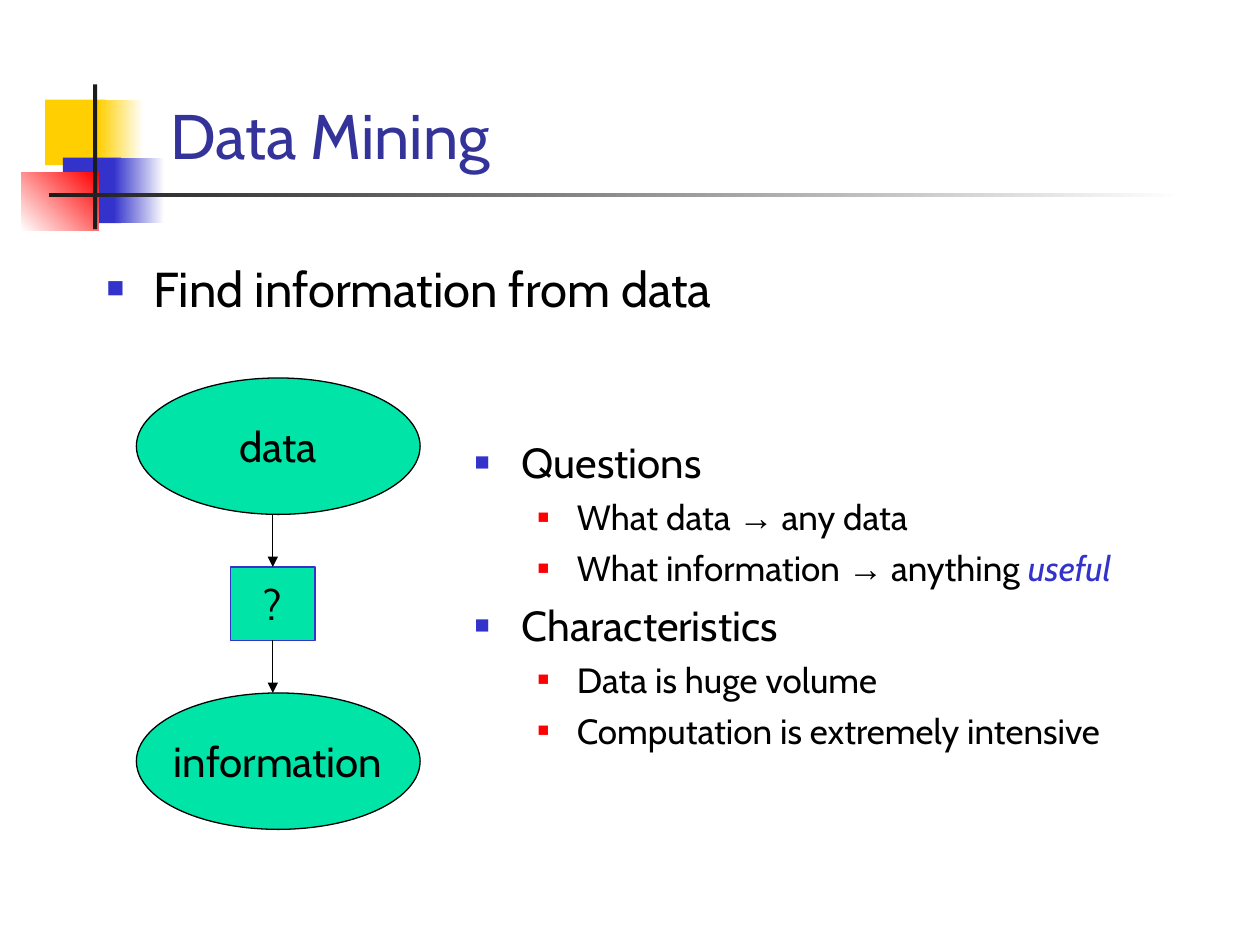
from lxml import etree
from pptx import Presentation
from pptx import util as u
from pptx.dml.color import RGBColor
from pptx.enum import shapes, text
from pptx.oxml.ns import qn

YELLOW = RGBColor(0xFF, 0xCF, 0x01)
BLUE = RGBColor(0x33, 0x33, 0xCC)
RED = RGBColor(0xFF, 0x00, 0x00)
WHITE = RGBColor(0xFF, 0xFF, 0xFF)
CHARCOAL = RGBColor(0x1C, 0x1C, 0x1C)
NAVY = RGBColor(0x33, 0x33, 0x99)
GREEN = RGBColor(0x00, 0xE4, 0xA8)
BLACK = RGBColor(0x00, 0x00, 0x00)

RECT = shapes.MSO_SHAPE.RECTANGLE
OVAL = shapes.MSO_SHAPE.OVAL
MIDDLE = text.MSO_ANCHOR.MIDDLE
BOTTOM = text.MSO_ANCHOR.BOTTOM

LEVELS = [
    {"size": 24, "before": 6, "left": 0.95, "hang": 0.95, "bullet": BLUE, "percent": 60},
    {"size": 20, "before": 5, "left": 2.06, "hang": 0.79, "bullet": RED, "percent": 55},
]

DECORATION = [
    ((0.91, 2.01, 1.22, 1.32), (YELLOW,), 0),
    ((1.98, 2.01, 0.91, 1.32), (YELLOW, WHITE), 0),
    ((1.27, 3.18, 1.17, 1.32), (BLUE,), 0),
    ((2.29, 3.18, 1.02, 1.32), (BLUE, WHITE), 0),
    ((0.43, 3.48, 1.55, 1.17), (WHITE, RED), 45),
    ((1.88, 1.7, 0.08, 2.92), (CHARCOAL,), 0),
    ((0.99, 3.89, 22.86, 0.08), (CHARCOAL, WHITE), 0),
]

QUESTIONS = [
    (0, ["Questions"]),
    (1, ["What data ", "→", " any data"]),
    (1, ["What information ", "→", " anything ", "useful"]),
    (0, ["Characteristics"]),
    (1, ["Data is huge volume"]),
    (1, ["Computation is extremely intensive"]),
]


def apply(target, values):
    for name, value in values.items():
        setattr(target, name, value)


def add_run(p, words, size, color=BLACK, **extra):
    r = p.add_run()
    r.text = words
    apply(r.font, {"name": "Cabin", "size": u.Pt(size), **extra})
    r.font.color.rgb = color


def add_shape(s, kind, box, colors, angle=0, line=None):
    sp = s.shapes.add_shape(kind, *map(u.Cm, box))
    sp.shadow.inherit = False
    if len(colors) == 1:
        sp.fill.solid()
        sp.fill.fore_color.rgb = colors[0]
    else:
        sp.fill.gradient()
        sp.fill.gradient_angle = angle
        for stop, color in zip(sp.fill.gradient_stops, colors):
            stop.color.rgb = color
    if line is None:
        sp.line.fill.background()
    else:
        sp.line.color.rgb = line
        sp.line.width = u.Pt(0.75)
    return sp


def add_node(s, kind, box, words, line):
    sp = add_shape(s, kind, box, (GREEN,), line=line)
    tf = sp.text_frame
    apply(tf, {"word_wrap": False, "vertical_anchor": MIDDLE})
    p = tf.paragraphs[0]
    p.alignment = text.PP_ALIGN.CENTER
    add_run(p, words, 24)
    return sp


def add_arrow(s, x, top, bottom):
    line = s.shapes.add_connector(
        shapes.MSO_CONNECTOR.STRAIGHT, *map(u.Cm, (x, top, x, bottom)))
    line.line.color.rgb = BLACK
    line.line.width = u.Pt(0.75)
    etree.SubElement(line.line._get_or_add_ln(), qn("a:tailEnd"), type="triangle")
    etree.SubElement(line._element.spPr, qn("a:effectLst"))
    return line


def add_textbox(s, box, **values):
    tf = s.shapes.add_textbox(*map(u.Cm, box)).text_frame
    apply(tf, {"word_wrap": True, **values})
    return tf


def set_bullet(p, level):
    pPr = p._p.get_or_add_pPr()
    pPr.set("marL", str(u.Cm(level["left"])))
    pPr.set("indent", str(-u.Cm(level["hang"])))
    color = etree.SubElement(pPr, qn("a:buClr"))
    etree.SubElement(color, qn("a:srgbClr"), val=str(level["bullet"]))
    etree.SubElement(pPr, qn("a:buSzPct"), val=str(level["percent"] * 1000))
    etree.SubElement(pPr, qn("a:buFont"), typeface="Arial")
    etree.SubElement(pPr, qn("a:buChar"), char="■")


def add_bullets(s, box, items, sizes=(24, 20)):
    tf = add_textbox(s, box)
    for i, (depth, pieces) in enumerate(items):
        level = LEVELS[depth]
        p = tf.add_paragraph() if i else tf.paragraphs[0]
        set_bullet(p, level)
        p.level = depth
        if i:
            p.space_before = u.Pt(level["before"])
        for words in pieces:
            style = {"→": {"name": "Arial"},
                     "useful": {"color": BLUE, "italic": True}}.get(words, {})
            add_run(p, words, sizes[depth], **style)


def add_flow(s):
    add_node(s, OVAL, (2.75, 7.62, 5.72, 2.75), "data", BLACK)
    step = add_node(s, RECT, (4.65, 11.43, 1.7, 1.48), "?", BLUE)
    add_node(s, OVAL, (2.75, 13.97, 5.72, 2.75), "information", BLACK)
    add_arrow(s, 5.5, 10.37, 11.43).end_connect(step, 0)
    add_arrow(s, 5.5, 12.91, 13.97).begin_connect(step, 2)


def main():
    prs = Presentation()
    apply(prs, {"slide_width": u.Cm(25.4), "slide_height": u.Cm(19.05)})
    s = prs.slides.add_slide(prs.slide_layouts[6])
    for box, colors, angle in DECORATION:
        add_shape(s, RECT, box, colors, angle)
    title = add_textbox(s, (3.18, 1.9, 21.64, 1.7), vertical_anchor=BOTTOM)
    add_run(title.paragraphs[0], "Data Mining", 36, NAVY)
    add_bullets(s, (1.9, 5.08, 14.4, 2.11), [(0, ["Find information from data"])], (28,))
    add_flow(s)
    add_bullets(s, (9.32, 8.68, 14.6, 7.2), QUESTIONS)
    prs.save("out.pptx")


if __name__ == "__main__":
    main()
